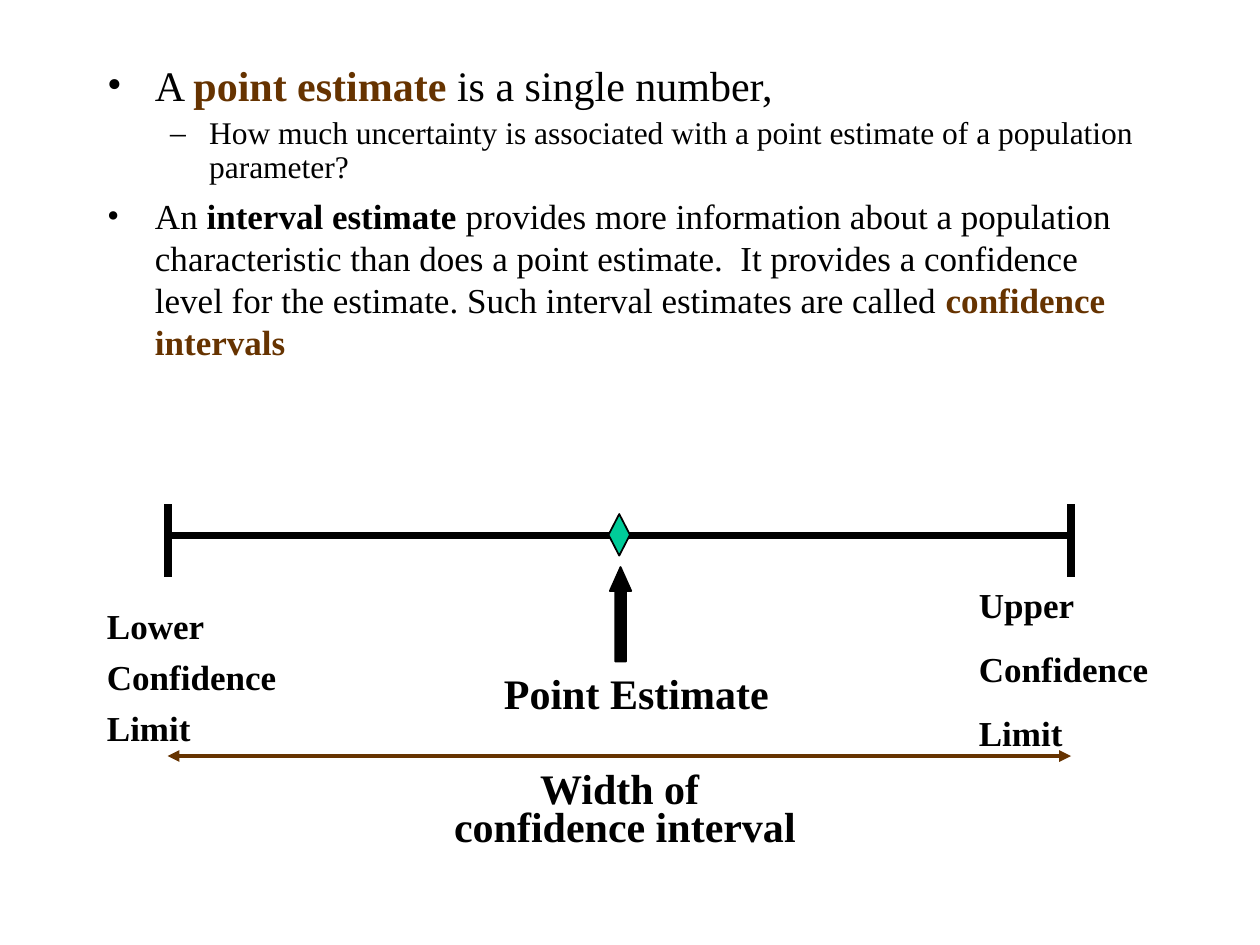
"""Build a slide on point estimates and confidence intervals."""
from lxml import etree
from pptx import Presentation
from pptx.dml.color import RGBColor
from pptx.enum import shapes, text
from pptx.oxml import ns
from pptx.util import Inches, Pt

INK, BROWN, GREEN = "000000", "663300", "00CC99"
LEFT, RIGHT, AXIS = 1.33, 8.5, 4.25


def paint(color, tint):
    color.rgb = RGBColor.from_string(tint)


def style(run, size, bold, tint=INK):
    run.font.name = "Times New Roman"
    run.font.size = Pt(size)
    run.font.bold = bold
    paint(run.font.color, tint)


deck = Presentation()
deck.slide_width, deck.slide_height = Inches(10), Inches(7.5)
slide = deck.slides.add_slide(deck.slide_layouts[1])
title = slide.shapes.title.element
title.getparent().remove(title)

body = slide.placeholders[1]
body.left, body.top = Inches(0.75), Inches(0.42)
body.width, body.height = Inches(8.5), Inches(6.25)
frame = body.text_frame
frame.auto_size = text.MSO_AUTO_SIZE.NONE
points = [
    (0, 24, 6, 1, 0.38, 0.38, "•", [
        ("A ", False, INK), ("point estimate", True, BROWN),
        (" is a single number,", False, INK)]),
    (1, 18, 4.5, 0.9, 0.81, 0.31, "–", [
        ("How much uncertainty is associated with a point estimate of a "
         "population parameter?", False, INK)]),
    (0, 20, 5, 1, 0.38, 0.38, "•", [
        ("An ", False, INK), ("interval estimate", True, INK),
        (" provides more information about a population characteristic than "
         "does a point estimate.  It provides a confidence level for the "
         "estimate. Such interval estimates are called ", False, INK),
        ("confidence intervals", True, BROWN)]),
]
for i, (level, size, gap, pitch, margin, hang, mark, parts) in enumerate(points):
    para = frame.add_paragraph() if i else frame.paragraphs[0]
    para.level, para.space_before, para.line_spacing = level, Pt(gap), pitch
    props = para._p.get_or_add_pPr()
    props.set("marL", str(Inches(margin)))
    props.set("indent", str(-Inches(hang)))
    hue = etree.SubElement(props, ns.qn("a:buClr"))
    etree.SubElement(hue, ns.qn("a:srgbClr"), val=INK)
    etree.SubElement(props, ns.qn("a:buFont"), typeface="Times New Roman")
    etree.SubElement(props, ns.qn("a:buChar"), char=mark)
    for words, bold, tint in parts:
        run = para.add_run()
        run.text = words
        style(run, size, bold, tint)

lines = [
    (LEFT, AXIS, RIGHT, AXIS, INK, 4.5, False),
    (LEFT, 4, LEFT, 4.58, INK, 4.5, False),
    (RIGHT, 4, RIGHT, 4.58, INK, 4.5, False),
    (LEFT, 6, RIGHT, 6, BROWN, 2.25, True),
]
for x, y, end, base, tint, width, heads in lines:
    line = slide.shapes.add_connector(
        shapes.MSO_CONNECTOR.STRAIGHT, Inches(x), Inches(y), Inches(end), Inches(base))
    paint(line.line.color, tint)
    line.line.width = Pt(width)
    if heads:
        for tag in ("a:headEnd", "a:tailEnd"):
            etree.SubElement(line.line._get_or_add_ln(), ns.qn(tag), type="triangle")
    etree.SubElement(line.element.spPr, ns.qn("a:effectLst"))

kinds = shapes.MSO_SHAPE
for kind, x, y, height, tint in [
    (kinds.DIAMOND, 4.83, 4.08, 0.33, GREEN),
    (kinds.UP_ARROW, 4.84, 4.5, 0.75, INK),
]:
    mark = slide.shapes.add_shape(kind, Inches(x), Inches(y), Inches(0.17), Inches(height))
    mark.shadow.inherit = False
    mark.fill.solid()
    paint(mark.fill.fore_color, tint)
    paint(mark.line.color, INK)
    mark.line.width = Pt(1)
    if kind == kinds.UP_ARROW:
        mark.adjustments[0], mark.adjustments[1] = 0.5, 1.12

mid, near = text.PP_ALIGN.CENTER, text.PP_ALIGN.LEFT
labels = [
    (3.09, 5.25, 3.92, 0.5, 24, 15, mid, 1, ["Point Estimate"]),
    (0.75, 4.75, 1.92, 1.24, 20, 5, near, 1, ["Lower", "Confidence", "Limit"]),
    (3, 6, 3.92, 0.75, 24, 15, mid, 0.1, ["Width of ", "confidence interval"]),
    (7.67, 4.58, 1.75, 1.45, 20, 12.5, near, 1, ["Upper", "Confidence", "Limit"]),
]
for x, y, width, height, size, gap, align, pitch, rows in labels:
    box = slide.shapes.add_textbox(Inches(x), Inches(y), Inches(width), Inches(height))
    frame = box.text_frame
    frame.word_wrap = True
    frame.auto_size = text.MSO_AUTO_SIZE.SHAPE_TO_FIT_TEXT
    frame.text = "\n".join(rows)
    for i, para in enumerate(frame.paragraphs):
        para.alignment, para.space_before = align, Pt(gap)
        para.line_spacing = pitch if i else 1
        style(para.runs[0], size, True)

deck.save("out.pptx")
